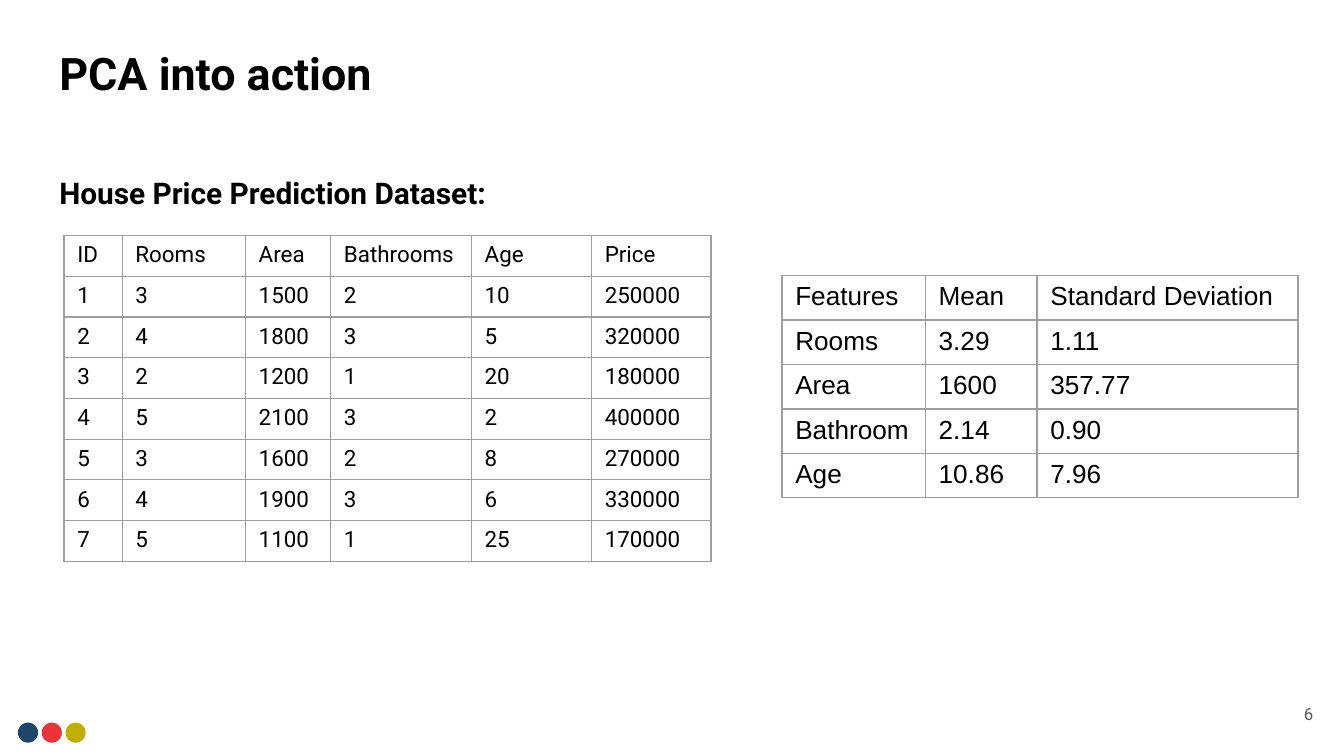
from lxml.etree import SubElement
from pptx import Presentation
from pptx.dml.color import RGBColor
from pptx.enum.shapes import MSO_SHAPE
from pptx.enum.text import MSO_ANCHOR, MSO_AUTO_SIZE, PP_ALIGN
from pptx.oxml.ns import qn
from pptx.util import Cm, Pt

COLORS = {
    "text": "000000",
    "number": "595959",
    "border": "9E9E9E",
    "navy": "1D466B",
    "red": "EB343A",
    "olive": "C0AE00",
}

HOUSES = [
    ["ID", "Rooms", "Area", "Bathrooms", "Age", "Price"],
    ["1", "3", "1500", "2", "10", "250000"],
    ["2", "4", "1800", "3", "5", "320000"],
    ["3", "2", "1200", "1", "20", "180000"],
    ["4", "5", "2100", "3", "2", "400000"],
    ["5", "3", "1600", "2", "8", "270000"],
    ["6", "4", "1900", "3", "6", "330000"],
    ["7", "5", "1100", "1", "25", "170000"],
]

STATISTICS = [
    ["Features", "Mean", "Standard Deviation"],
    ["Rooms", "3.29", "1.11"],
    ["Area", "1600", "357.77"],
    ["Bathroom", "2.14", "0.90"],
    ["Age", "10.86", "7.96"],
]


def color(name):
    return RGBColor.from_string(COLORS[name])


def write(frame, text, size, font="Roboto", bold=False, fill="text",
          align=PP_ALIGN.LEFT, spacing=1.0, plain_list=False):
    frame.text = text
    paragraph = frame.paragraphs[0]
    if plain_list:
        properties = paragraph._p.get_or_add_pPr()
        properties.set("marL", "0")
        properties.set("indent", "0")
        SubElement(properties, qn("a:buNone"))
    paragraph.alignment = align
    paragraph.line_spacing = spacing
    paragraph.space_before = Pt(0)
    run_font = paragraph.runs[0].font
    run_font.name = font
    run_font.size = Pt(size)
    run_font.bold = bold
    run_font.color.rgb = color(fill)


def place_text(holder, box, text, anchor, **style):
    holder.left, holder.top, holder.width, holder.height = map(Cm, box)
    frame = holder.text_frame
    frame.word_wrap = True
    frame.auto_size = MSO_AUTO_SIZE.NONE
    frame.vertical_anchor = anchor
    frame.margin_left = frame.margin_right = Cm(0.25)
    frame.margin_top = frame.margin_bottom = Cm(0.25)
    write(frame, text, **style)


def draw_borders(cell):
    properties = cell._tc.get_or_add_tcPr()
    for position, side in enumerate(("a:lnL", "a:lnR", "a:lnT", "a:lnB")):
        line = properties.makeelement(qn(side), {"w": str(Pt(0.75))})
        properties.insert(position, line)
        solid = SubElement(line, qn("a:solidFill"))
        SubElement(solid, qn("a:srgbClr"), val=COLORS["border"])


def place_table(slide, left, top, widths, row_height, records, **style):
    table = slide.shapes.add_table(
        len(records), len(widths), Cm(left), Cm(top),
        Cm(sum(widths)), Cm(row_height * len(records))).table
    table.first_row = table.horz_banding = False
    for column, width in zip(table.columns, widths):
        column.width = Cm(width)
    for row, record in zip(table.rows, records):
        row.height = Cm(row_height)
        for cell, value in zip(row.cells, record):
            cell.fill.background()
            cell.margin_left = cell.margin_right = Cm(0.25)
            cell.margin_top = cell.margin_bottom = Cm(0.12)
            write(cell.text_frame, value, **style)
            draw_borders(cell)


def place_dots(slide, left, top, diameter, pitch):
    for index, name in enumerate(("navy", "red", "olive")):
        dot = slide.shapes.add_shape(
            MSO_SHAPE.OVAL, Cm(left + index * pitch), Cm(top),
            Cm(diameter), Cm(diameter))
        dot.shadow.inherit = False
        dot.fill.solid()
        dot.fill.fore_color.rgb = color(name)
        dot.line.fill.background()


def place_page_number(slide, box, number):
    page_number = slide.shapes.add_textbox(*map(Cm, box))
    place_text(page_number, box, number, MSO_ANCHOR.MIDDLE,
               size=9, fill="number", align=PP_ALIGN.RIGHT)


def main():
    presentation = Presentation()
    presentation.slide_width = Cm(25.4)
    presentation.slide_height = Cm(14.29)
    slide = presentation.slides.add_slide(presentation.slide_layouts[1])

    place_dots(slide, left=0.34, top=13.66, diameter=0.38, pitch=0.45)
    place_text(slide.shapes.title, (0.87, 0.6, 23.67, 1.55),
               "PCA into action", MSO_ANCHOR.MIDDLE, size=24, bold=True)
    place_text(slide.placeholders[1], (0.87, 2.95, 23.67, 9.75),
               "House Price Prediction Dataset:", MSO_ANCHOR.TOP,
               size=16, bold=True, spacing=1.15, plain_list=True)
    place_page_number(slide, (23.55, 12.95, 1.52, 1.09), "6")
    place_table(slide, 1.21, 4.45, (1.1, 2.33, 1.61, 2.66, 2.27, 2.26),
                0.77, HOUSES, size=12)
    place_table(slide, 14.78, 5.21, (2.71, 2.11, 4.93),
                0.84, STATISTICS, size=14, font="Arial")

    presentation.save("out.pptx")


if __name__ == "__main__":
    main()
